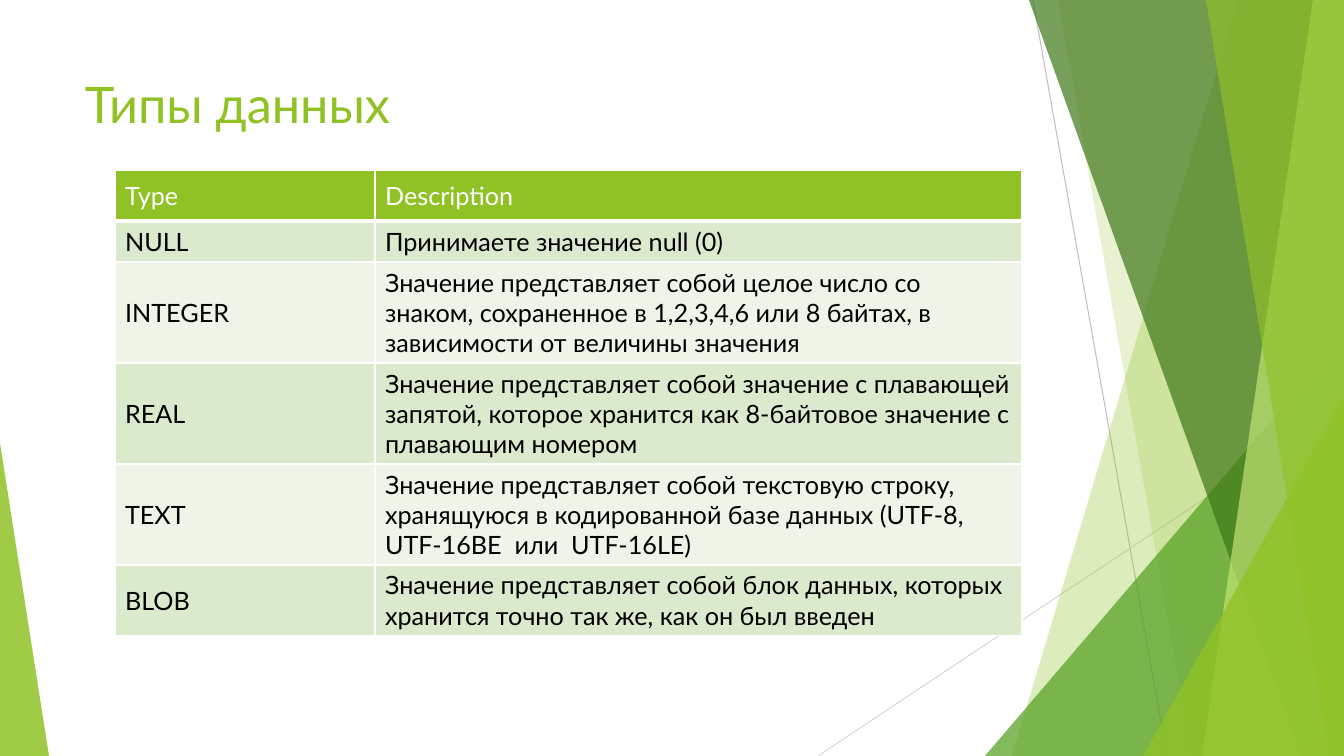
from typing import NamedTuple

from lxml.etree import SubElement
from pptx import Presentation
from pptx.dml.color import RGBColor
from pptx.enum.shapes import MSO_CONNECTOR, MSO_SHAPE
from pptx.enum.text import MSO_ANCHOR
from pptx.oxml.ns import qn
from pptx.util import Pt

WIDE, HIGH = 1344, 756
SCALE = 12192000 / WIDE
LIME, WHITE, BLACK = "90C226", "FFFFFF", "000000"
BANDS = ["DBE9CD", "EEF4E8"]


class Ray(NamedTuple):
    start: tuple[int, int]
    end: tuple[int, int]
    color: str


class Blade(NamedTuple):
    """Full-height facet; its left edge runs from top to foot."""
    top: int
    foot: int
    color: str
    alpha: int


class Wedge(NamedTuple):
    """Right triangle standing on the bottom edge."""
    left: int
    top: int
    width: int
    peak: int
    color: str
    alpha: int


class Row(NamedTuple):
    height: int
    kind: str
    note: str


RAYS = [
    Ray((1033, 0), (1167, HIGH), "BFBFBF"),
    Ray((WIDE, 406), (818, HIGH), "D9D9D9"),
]
# Back to front
FACETS = [
    Blade(1238, 1012, LIME, 30),
    Blade(1058, 1192, LIME, 20),
    Wedge(985, 336, 359, 1, "54A021", 72),
    Blade(1029, 1301, "3F7819", 70),
    Blade(1313, 1202, "C0E474", 70),
    Blade(1206, 1329, LIME, 65),
    Wedge(1143, 396, 201, 1, LIME, 80),
    Wedge(0, 443, 49, 0, LIME, 85),
]
COLS = [260, 647]
ROWS = [
    Row(51, "Type", "Description"),
    Row(41, "NULL", "Принимаете значение null (0)"),
    Row(101, "INTEGER", "Значение представляет собой целое число со знаком, "
        "сохраненное в 1,2,3,4,6 или 8 байтах, в зависимости от величины значения"),
    Row(101, "REAL", "Значение представляет собой значение с плавающей запятой, "
        "которое хранится как 8-байтовое значение с плавающим номером"),
    Row(101, "TEXT", "Значение представляет собой текстовую строку, хранящуюся "
        "в кодированной базе данных (UTF-8, UTF-16BE  или  UTF-16LE)"),
    Row(70, "BLOB", "Значение представляет собой блок данных, которых хранится "
        "точно так же, как он был введен"),
]


def px(size: float) -> int:
    return round(size * SCALE)


def rgb(color: str) -> RGBColor:
    return RGBColor.from_string(color)


def write(frame, text: str, *, size: int, color: str) -> None:
    frame.word_wrap = True
    run = frame.paragraphs[0].add_run()
    run.text = text
    font = run.font
    font.name, font.size, font.bold = "Lato", Pt(size), False
    font.color.rgb = rgb(color)


def paint(shape, color: str, alpha: int) -> None:
    shape.shadow.inherit = False
    shape.line.fill.background()
    shape.fill.solid()
    shape.fill.fore_color.rgb = rgb(color)
    tint = shape.fill._xPr.find(f".//{qn('a:srgbClr')}")
    SubElement(tint, qn("a:alpha"), val=str(alpha * 1000))


def draw_ray(shapes, ray: Ray) -> None:
    ends = [px(n) for n in ray.start + ray.end]
    line = shapes.add_connector(MSO_CONNECTOR.STRAIGHT, *ends)
    line.line.color.rgb = rgb(ray.color)
    line.line.width = Pt(0.75)
    SubElement(line._element.spPr, qn("a:effectLst"))


def draw_blade(shapes, blade: Blade) -> None:
    pen = shapes.build_freeform(blade.top, 0, scale=SCALE)
    pen.add_line_segments([(WIDE, 0), (WIDE, HIGH), (blade.foot, HIGH)])
    paint(pen.convert_to_shape(), blade.color, blade.alpha)


def draw_wedge(shapes, wedge: Wedge) -> None:
    box = wedge.left, wedge.top, wedge.width, HIGH - wedge.top
    shape = shapes.add_shape(MSO_SHAPE.ISOSCELES_TRIANGLE, *map(px, box))
    shape.adjustments[0] = wedge.peak
    paint(shape, wedge.color, wedge.alpha)


def edge(cell, side: str, width: int) -> None:
    line = SubElement(cell._tc.get_or_add_tcPr(), qn(f"a:ln{side}"), w=str(Pt(width)))
    fill = SubElement(line, qn("a:solidFill"))
    SubElement(fill, qn("a:srgbClr"), val=WHITE)


def draw_table(shapes, left: int, top: int) -> None:
    box = left, top, sum(COLS), sum(row.height for row in ROWS)
    table = shapes.add_table(len(ROWS), len(COLS), *map(px, box)).table
    table.first_row = table.horz_banding = False
    for col, width in zip(table.columns, COLS):
        col.width = px(width)
    for i, row in enumerate(ROWS):
        head = i == 0
        table.rows[i].height = px(row.height)
        for cell, text in zip(table.rows[i].cells, (row.kind, row.note)):
            for side in "LRTB" if head else "LRB":
                edge(cell, side, 3 if head and side == "B" else 1)
            cell.fill.solid()
            cell.fill.fore_color.rgb = rgb(LIME if head else BANDS[(i - 1) % 2])
            cell.vertical_anchor = MSO_ANCHOR.MIDDLE
            write(cell.text_frame, text, size=18, color=WHITE if head else BLACK)


deck = Presentation()
deck.slide_width, deck.slide_height = px(WIDE), px(HIGH)
shapes = deck.slides.add_slide(deck.slide_layouts[6]).shapes

# Backdrop
for ray in RAYS:
    draw_ray(shapes, ray)
for facet in FACETS:
    if isinstance(facet, Blade):
        draw_blade(shapes, facet)
    else:
        draw_wedge(shapes, facet)

# Title
title = shapes.add_textbox(*map(px, (75, 68, 948, 145)))
write(title.text_frame, "Типы данных", size=36, color=LIME)

# Data types
draw_table(shapes, 115, 170)

deck.save("out.pptx")
